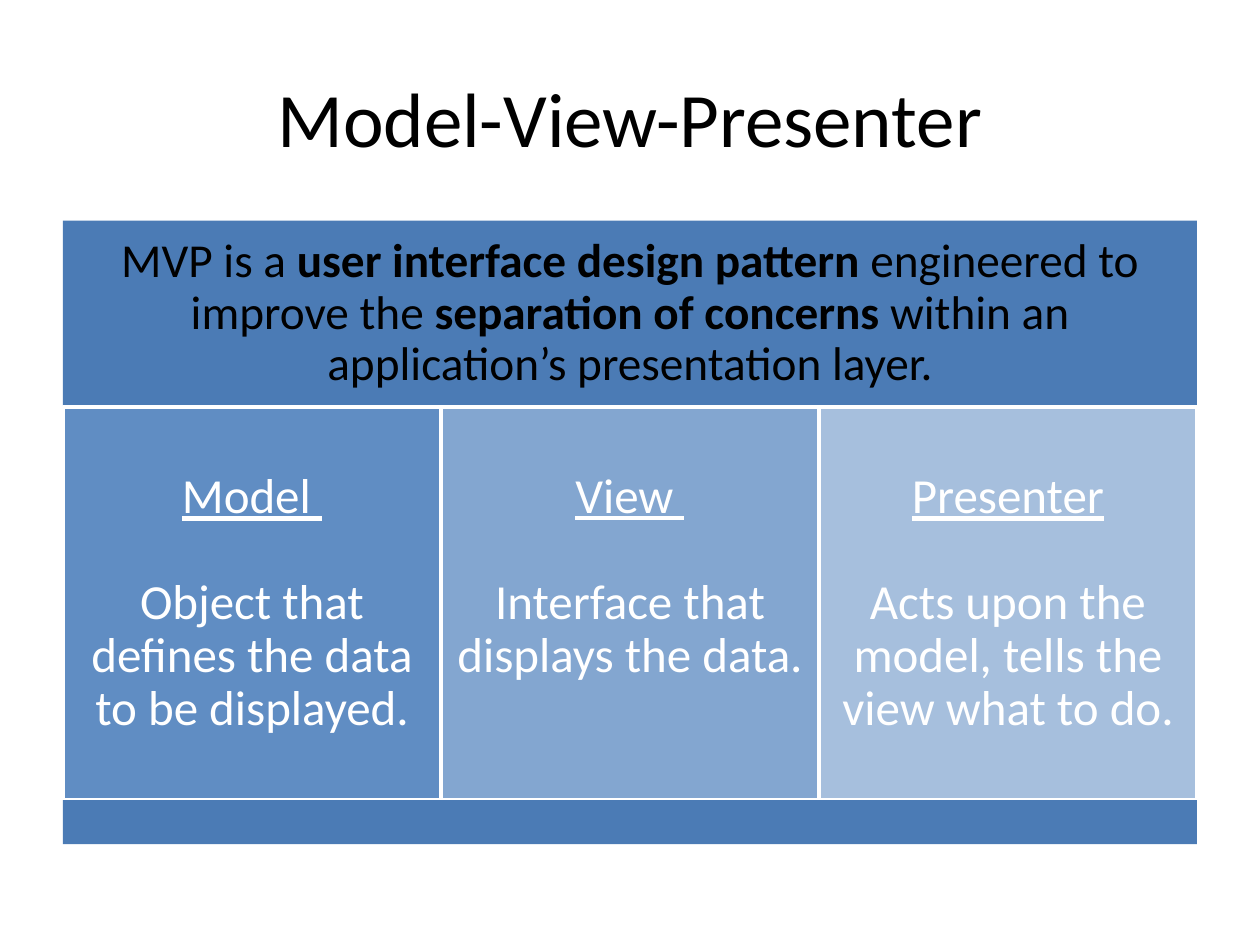
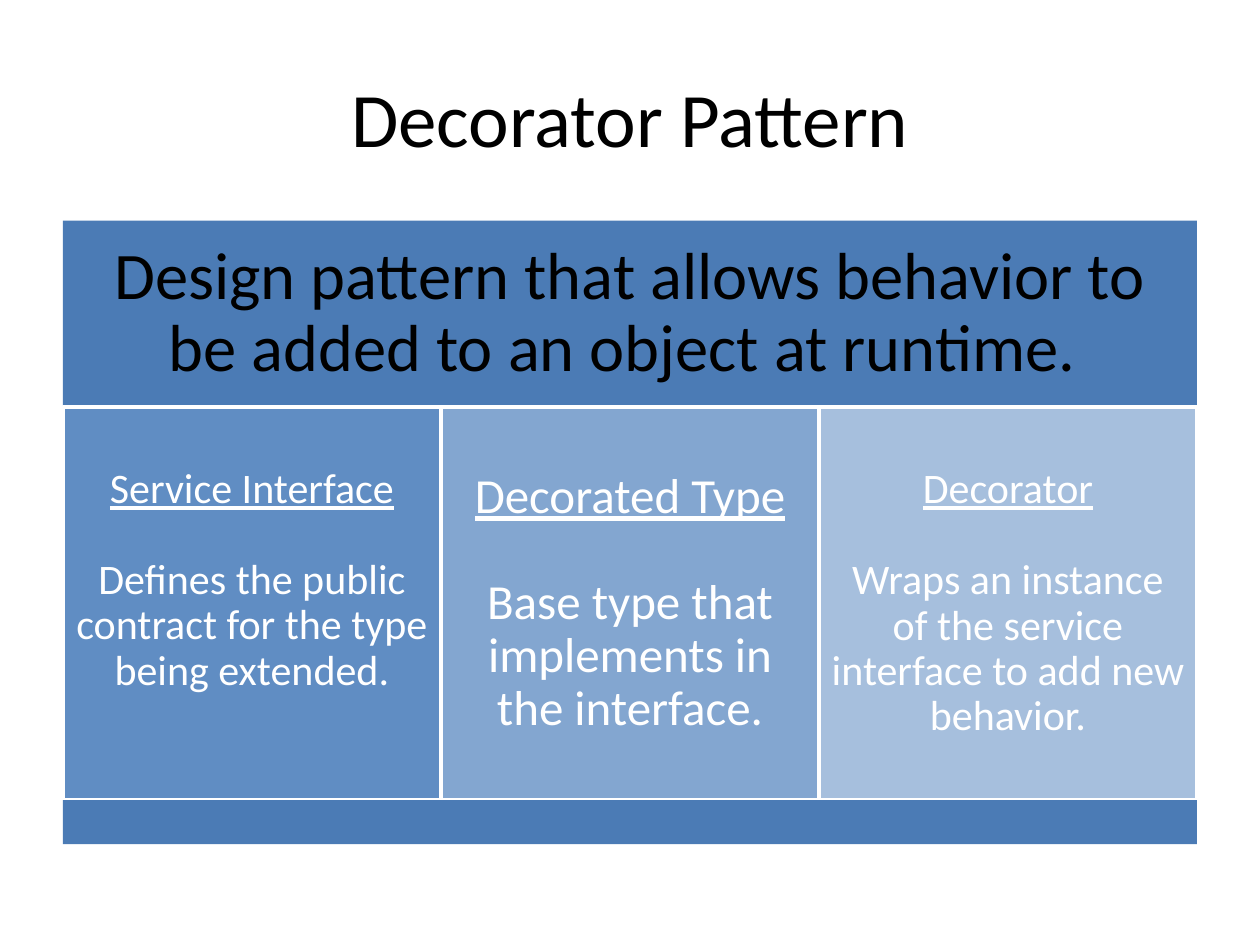
"""Build two pattern slides: a definition band above three role columns."""
from dataclasses import dataclass

from lxml.etree import SubElement
from pptx import Presentation
from pptx.dml.color import RGBColor as RGB
from pptx.enum.shapes import MSO_SHAPE as SHAPE
from pptx.enum.text import MSO_ANCHOR as ANCHOR, PP_ALIGN as ALIGN
from pptx.oxml.ns import qn
from pptx.util import Inches, Pt

PATTERNS = [
    {
        "title": "Model-View-Presenter",
        "definition": [
            ("MVP is a ", False),
            ("user interface design pattern", True),
            (" engineered to improve the ", False),
            ("separation of concerns", True),
            (" within an application’s presentation layer.", False),
        ],
        "definition_size": 27,
        "definition_inset": 0.11,
        "roles": [
            ("Model ", "Object that defines the data to be displayed.", 28, False),
            ("View ", "Interface that displays the data.", 28, True),
            ("Presenter", "Acts upon the model, tells the view what to do.", 28, False),
        ],
    },
    {
        "title": "Decorator Pattern",
        "definition": [
            ("Design pattern that allows behavior to be added to an object at runtime. ", False),
        ],
        "definition_size": 38,
        "definition_inset": 0.16,
        "roles": [
            ("Service Interface", "Defines the public contract for the type being extended.", 24, True),
            ("Decorated Type", "Base type that implements in the interface.", 28, False),
            ("Decorator", "Wraps an instance of the service interface to add new behavior.", 24, False),
        ],
    },
]


@dataclass(frozen=True)
class Theme:
    """Colours, type and measures shared by the slides."""
    font: str = "Calibri"
    title_size: int = 44
    ink: RGB = RGB(0, 0, 0)
    paper: RGB = RGB(255, 255, 255)
    band: RGB = RGB(0x4B, 0x7B, 0xB5)
    column: RGB = RGB(0x4F, 0x81, 0xBD)
    opacities: tuple = (90, 70, 50)
    line_spacing: float = 0.9
    line_height: float = 1.09


THEME = Theme()
LEFT, WIDTH = 0.5, 9
TITLE_TOP, TITLE_HEIGHT = 0.3, 1.25
BAND_TOP, BAND_HEIGHT = 1.75, 1.48
COLUMN_TOP, COLUMN_HEIGHT = BAND_TOP + BAND_HEIGHT, 3.12
BASE_TOP, BASE_HEIGHT = COLUMN_TOP + COLUMN_HEIGHT, 0.35


def style(font, size, color, bold=False, underline=False):
    """Apply the theme font with the given look."""
    font.name, font.size, font.color.rgb = THEME.font, Pt(size), color
    font.bold, font.underline = bold, underline


def add_block(slide, left, top, width, height, color, inset=0.1):
    """Add a flat rectangle prepared for centred text."""
    block = slide.shapes.add_shape(
        SHAPE.RECTANGLE, Inches(left), Inches(top), Inches(width), Inches(height))
    block.shadow.inherit = False
    block.fill.solid()
    block.fill.fore_color.rgb = color
    block.line.fill.background()
    frame = block.text_frame
    frame.word_wrap, frame.vertical_anchor = True, ANCHOR.MIDDLE
    frame.margin_left = frame.margin_right = Inches(inset)
    frame.margin_top = frame.margin_bottom = Inches(inset)
    return block


def centre(paragraph):
    """Centre a paragraph with the theme's line spacing."""
    paragraph.alignment = ALIGN.CENTER
    paragraph.line_spacing = THEME.line_spacing


def add_title(slide, text):
    """Fill and place the title placeholder."""
    title = slide.shapes.title
    title.left, title.top = Inches(LEFT), Inches(TITLE_TOP)
    title.width, title.height = Inches(WIDTH), Inches(TITLE_HEIGHT)
    frame = title.text_frame
    frame.text, frame.vertical_anchor = text, ANCHOR.MIDDLE
    frame.paragraphs[0].alignment = ALIGN.CENTER
    style(frame.paragraphs[0].runs[0].font, THEME.title_size, THEME.ink)


def add_definition(slide, phrases, size, inset):
    """Add the upper band with its definition."""
    band = add_block(slide, LEFT, BAND_TOP, WIDTH, BAND_HEIGHT, THEME.band, inset)
    paragraph = band.text_frame.paragraphs[0]
    centre(paragraph)
    for phrase, bold in phrases:
        run = paragraph.add_run()
        run.text = phrase
        style(run.font, size, THEME.ink, bold=bold)


def add_role(slide, index, count, role, opacity):
    """Add one translucent column with a role and its duty."""
    heading, duty, size, raised = role
    width = WIDTH / count
    column = add_block(slide, LEFT + index * width, COLUMN_TOP, width, COLUMN_HEIGHT,
                       THEME.column, 0.12 if size > 24 else 0.1)
    color = column.fill._xPr.find(qn("a:solidFill"))[0]
    SubElement(color, qn("a:alpha"), val=str(opacity * 1000))
    column.line.color.rgb, column.line.width = THEME.paper, Pt(2)
    frame = column.text_frame
    line = Pt(size * THEME.line_height)
    if raised:
        frame.margin_bottom += line
    frame.text = f"{heading}\n{duty}"
    for paragraph, underline in zip(frame.paragraphs, (True, False)):
        centre(paragraph)
        style(paragraph.runs[0].font, size, THEME.paper, underline=underline)
    frame.paragraphs[1].space_before = line


def main():
    """Build and save the presentation."""
    deck = Presentation()
    deck.slide_width, deck.slide_height = Inches(10), Inches(7.5)
    for pattern in PATTERNS:
        slide = deck.slides.add_slide(deck.slide_layouts[5])
        add_title(slide, pattern["title"])
        add_definition(slide, pattern["definition"], pattern["definition_size"],
                       pattern["definition_inset"])
        roles = pattern["roles"]
        for index, (role, opacity) in enumerate(zip(roles, THEME.opacities)):
            add_role(slide, index, len(roles), role, opacity)
        add_block(slide, LEFT, BASE_TOP, WIDTH, BASE_HEIGHT, THEME.band)
    deck.save("out.pptx")


if __name__ == "__main__":
    main()
